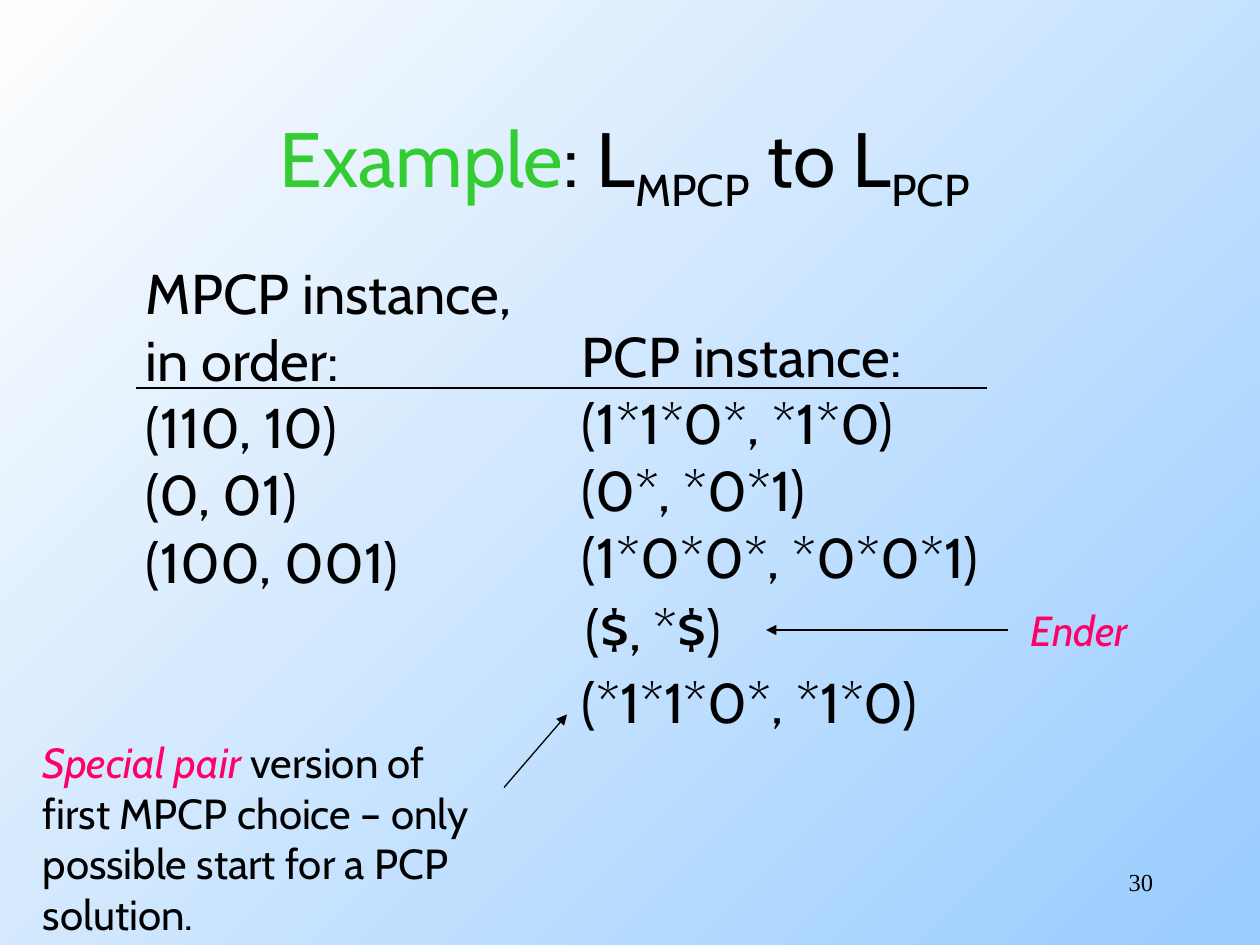
import pptx
import pptx.dml.color
import pptx.enum.shapes
import pptx.enum.text
import pptx.oxml
import pptx.util
from pptx.util import Inches

COLORS = {
    "text": "000000",
    "example": "33CC33",
    "accent": "FF0066",
    "sky": "99CCFF",
    "light": "FEFEFE",
}
ALIGN = pptx.enum.text.PP_ALIGN
ANCHOR = pptx.enum.text.MSO_ANCHOR


def rgb(name):
    return pptx.dml.color.RGBColor.from_string(COLORS[name])


class SlideBuilder:
    """Holds the style and the current page."""

    font = "Cabin"
    line_width = pptx.util.Pt(0.75)

    def __init__(self, deck):
        self.page = deck.slides.add_slide(deck.slide_layouts[5])

    def background(self, start, end, angle):
        fill = self.page.background.fill
        fill.gradient()
        fill.gradient_angle = angle
        for stop, color, position in zip(fill.gradient_stops, (start, end), (0, 1)):
            stop.color.rgb = rgb(color)
            stop.position = position

    def fill_para(self, para, spans, size, font=None, align=ALIGN.LEFT):
        """Fill a paragraph with spans of (text, color, italic, subscript)."""
        para.alignment = align
        para.font.name = font or self.font
        para.font.size = pptx.util.Pt(size)
        for text, color, italic, subscript in spans:
            span = para.add_run()
            span.text = text
            span.font.color.rgb = rgb(color)
            if italic:
                span.font.italic = True
            if subscript:
                span._r.get_or_add_rPr().set("baseline", "-25000")

    def title(self, left, top, width, height, spans):
        box = self.page.shapes.title
        box.left, box.top = Inches(left), Inches(top)
        box.width, box.height = Inches(width), Inches(height)
        box.text_frame.vertical_anchor = ANCHOR.MIDDLE
        self.fill_para(box.text_frame.paragraphs[0], spans, 44, align=ALIGN.CENTER)

    def text(self, left, top, width, height, lines, size=32, wrap=False, **style):
        """Add a text box; a line is a plain string or a list of spans."""
        box = self.page.shapes.add_textbox(
            Inches(left), Inches(top), Inches(width), Inches(height))
        frame = box.text_frame
        frame.word_wrap = wrap
        for index, line in enumerate(lines):
            para = frame.add_paragraph() if index else frame.paragraphs[0]
            spans = [(line, "text", False, False)] if isinstance(line, str) else line
            self.fill_para(para, spans, size, **style)

    def line(self, x1, y1, x2, y2, arrow=False):
        rule = self.page.shapes.add_connector(
            pptx.enum.shapes.MSO_CONNECTOR.STRAIGHT,
            Inches(x1), Inches(y1), Inches(x2), Inches(y2))
        rule.line.color.rgb = rgb("text")
        rule.line.width = self.line_width
        properties = rule._element.spPr
        if arrow:
            tip = pptx.oxml.parse_xml(
                '<a:tailEnd xmlns:a="http://schemas.openxmlformats.org/'
                'drawingml/2006/main" type="triangle"/>')
            properties.ln.append(tip)
        properties.append(pptx.oxml.parse_xml(
            '<a:effectLst xmlns:a="http://schemas.openxmlformats.org/'
            'drawingml/2006/main"/>'))


def main():
    deck = pptx.Presentation()
    deck.slide_width, deck.slide_height = Inches(10), Inches(7.5)
    slide = SlideBuilder(deck)
    slide.background("sky", "light", 135)

    # Title
    slide.title(0.75, 0.67, 8.5, 1.25, [
        ("Example", "example", False, False),
        (": L", "text", False, False),
        ("MPCP", "text", False, True),
        (" to L", "text", False, False),
        ("PCP ", "text", False, True),
    ])

    # The two instances side by side
    slide.text(1.06, 2, 3.41, 2.77, [
        "MPCP instance,", "in order:", "(110, 10)", "(0, 01)", "(100, 001)"])
    slide.text(4.52, 2.5, 3.7, 2.24, [
        "PCP instance:", "(1*1*0*, *1*0)", "(0*, *0*1)", "(1*0*0*, *0*0*1)"])

    # Ender pair
    slide.text(4.55, 4.67, 1.45, 0.64, ["($, *$)"])
    slide.text(8.08, 4.75, 1.05, 0.5, [[("Ender", "accent", True, False)]], size=24)
    slide.line(8, 5, 6.08, 5, arrow=True)

    # Special starting pair
    slide.text(4.52, 5.25, 3.44, 0.64, ["(*1*1*0*, *1*0)"])
    slide.text(0.24, 5.8, 3.91, 1.7, [
        [("Special pair ", "accent", True, False),
         ("version of", "text", False, False)],
        "first MPCP choice – only",
        "possible start for a PCP",
        "solution.",
    ], size=24)
    slide.line(4, 6.25, 4.5, 5.67, arrow=True)

    # Rule under the headings
    slide.line(1.08, 3.08, 7.83, 3.08)

    # Page number
    slide.text(7.17, 6.83, 2.08, 0.5, ["30"], size=14, wrap=True,
               font="Times New Roman", align=ALIGN.RIGHT)

    deck.save("out.pptx")


if __name__ == "__main__":
    main()
